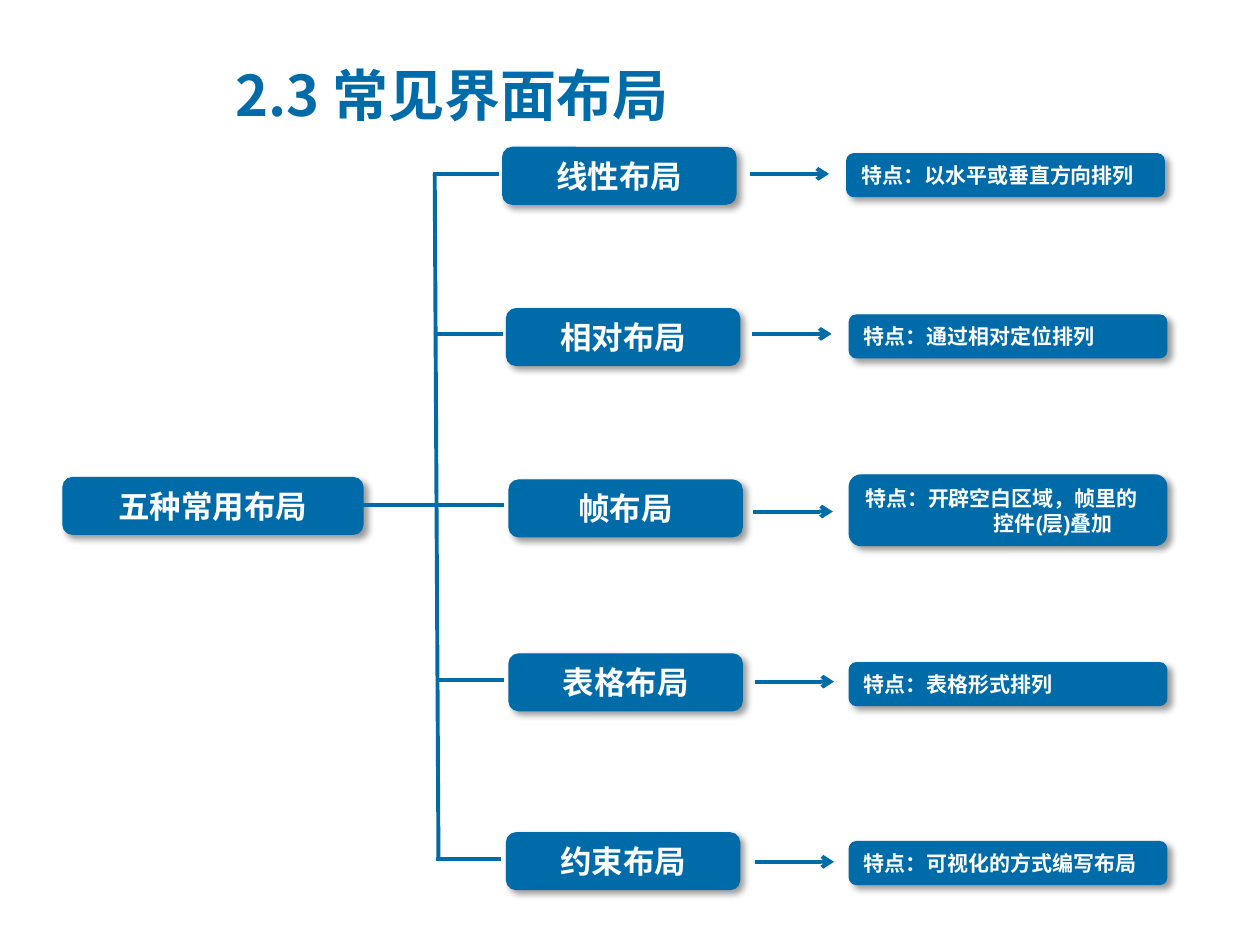
import pptx
import pptx.dml.color
import pptx.enum.shapes
import pptx.enum.text
import pptx.oxml
import pptx.oxml.ns
import pptx.util
from pptx.util import Inches

BLUE = "006BA9"
WHITE = "FFFFFF"
ALIGN = pptx.enum.text.PP_ALIGN
TRUNK_X = 3.47

# name, name box (left, top), branch (start, y), arrow (start, y),
# feature box (left, top, height), feature lines
LAYOUTS = [
    ("线性布局", (3.99, 1.17), (3.44, 1.38), (5.95, 1.38), (6.72, 1.22, 0.34),
     ["特点：以水平或垂直方向排列"]),
    ("相对布局", (4.02, 2.45), (3.47, 2.65), (5.97, 2.65), (6.74, 2.5, 0.34),
     ["特点：通过相对定位排列"]),
    ("帧布局", (4.04, 3.81), (3.48, 4.01), (5.98, 4.06), (6.74, 3.77, 0.56),
     ["特点：开辟空白区域，帧里的", "控件(层)叠加"]),
    ("表格布局", (4.04, 5.19), (3.48, 5.4), (5.99, 5.41), (6.74, 5.26, 0.34),
     ["特点：表格形式排列"]),
    ("约束布局", (4.02, 6.61), (3.46, 6.82), (5.99, 6.84), (6.74, 6.68, 0.34),
     ["特点：可视化的方式编写布局"]),
]


def rgb(value):
    return pptx.dml.color.RGBColor.from_string(value)


def add_child(parent, tag, **attributes):
    child = pptx.oxml.parse_xml(f"<a:{tag} {pptx.oxml.ns.nsdecls('a')}/>")
    for key, value in attributes.items():
        child.set(key, str(value))
    parent.append(child)
    return child


def write(paragraph, text, size, color, font="Arial"):
    run = paragraph.add_run()
    run.text = text
    style = {"name": font, "size": pptx.util.Pt(size), "bold": True}
    for key, value in style.items():
        setattr(run.font, key, value)
    run.font.color.rgb = rgb(color)
    return run


def add_shadow(shape):
    shape.shadow.inherit = False
    effects = shape._element.spPr.find(pptx.oxml.ns.qn("a:effectLst"))
    shadow = add_child(effects, "outerShdw", blurRad=pptx.util.Pt(4),
                       dist=pptx.util.Pt(3), dir=45 * 60000,
                       algn="tl", rotWithShape=0)
    add_child(add_child(shadow, "srgbClr", val="000000"), "alpha", val=40000)


def add_box(slide, bounds, lines, size, align, hanging=0):
    """Draw a rounded box; lines after the first are indented by hanging inches."""
    box = slide.shapes.add_shape(
        pptx.enum.shapes.MSO_SHAPE.ROUNDED_RECTANGLE, *map(Inches, bounds))
    box.fill.solid()
    box.fill.fore_color.rgb = rgb(BLUE)
    box.line.color.rgb = rgb(BLUE)
    box.line.width = pptx.util.Pt(0.75)
    add_shadow(box)
    frame = box.text_frame
    frame.word_wrap = True
    frame.auto_size = pptx.enum.text.MSO_AUTO_SIZE.SHAPE_TO_FIT_TEXT
    frame.vertical_anchor = pptx.enum.text.MSO_ANCHOR.MIDDLE
    for index, text in enumerate(lines):
        paragraph = frame.add_paragraph() if index else frame.paragraphs[0]
        paragraph.alignment = align
        if index:
            paragraph._p.get_or_add_pPr().set("marL", str(Inches(hanging)))
        write(paragraph, text, size, WHITE)


def add_line(slide, start, end, arrow=False):
    line = slide.shapes.add_connector(
        pptx.enum.shapes.MSO_CONNECTOR.STRAIGHT, *map(Inches, start + end))
    line.line.color.rgb = rgb(BLUE)
    line.line.width = pptx.util.Pt(2.25)
    if arrow:
        add_child(line.line._get_or_add_ln(), "tailEnd", type="arrow")
    add_child(line._element.spPr, "effectLst")


def add_title(slide, text):
    title = slide.shapes.add_textbox(*map(Inches, (1.77, 0.44, 5.41, 0.61)))
    frame = title.text_frame
    frame.word_wrap = True
    frame.vertical_anchor = pptx.enum.text.MSO_ANCHOR.MIDDLE
    paragraph = frame.paragraphs[0]
    properties = paragraph._p.get_or_add_pPr()
    properties.set("marL", str(Inches(0.62)))
    properties.set("indent", str(Inches(-0.62)))
    font = "Noto Sans CJK SC"
    run = write(paragraph, text, 32, BLUE, font)
    add_child(run.font._element, "ea", typeface=font)


def add_layout(slide, name, name_at, branch, arrow, feature_at, feature):
    """Draw one branch: trunk line, name box, arrow and feature box."""
    branch_x, branch_y = branch
    arrow_x, arrow_y = arrow
    left, top, height = feature_at
    add_line(slide, branch, (branch_x + 0.52, branch_y))
    add_box(slide, (*name_at, 1.85, 0.45), [name], 18, ALIGN.CENTER)
    add_line(slide, arrow, (arrow_x + 0.63, arrow_y), arrow=True)
    add_box(slide, (left, top, 2.52, height), feature, 12, ALIGN.LEFT, hanging=1.02)


def main():
    deck = pptx.Presentation()
    deck.slide_width, deck.slide_height = Inches(10), Inches(7.5)
    slide = deck.slides.add_slide(deck.slide_layouts[6])
    add_box(slide, (0.5, 3.79, 2.38, 0.45), ["五种常用布局"], 18, ALIGN.CENTER)
    add_line(slide, (TRUNK_X - 0.02, 1.38), (TRUNK_X + 0.01, 6.82))
    add_line(slide, (2.87, 4.01), (TRUNK_X - 0.02, 4.01))
    for layout in LAYOUTS:
        add_layout(slide, *layout)
    add_title(slide, "2.3 常见界面布局")
    deck.save("out.pptx")


if __name__ == "__main__":
    main()
